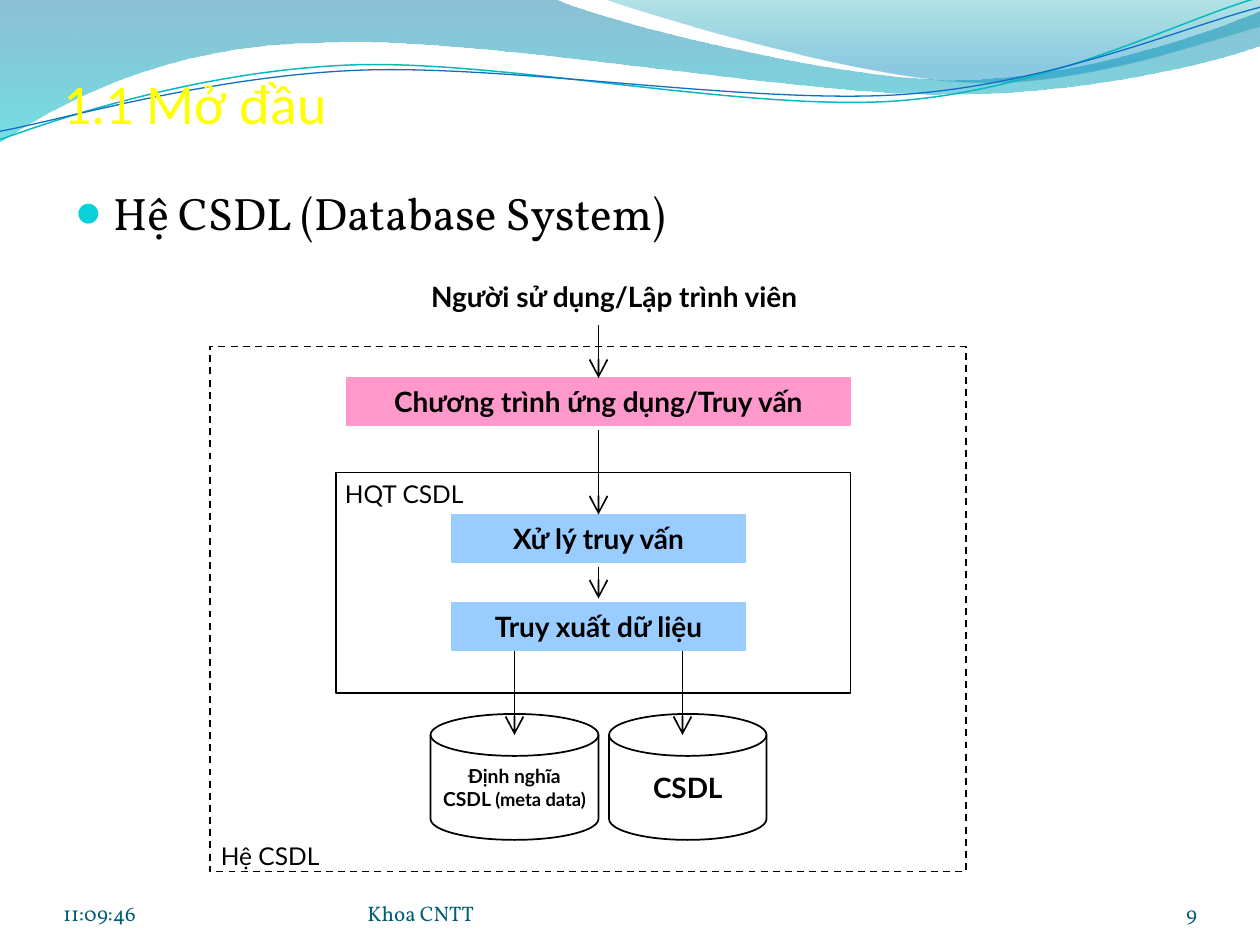
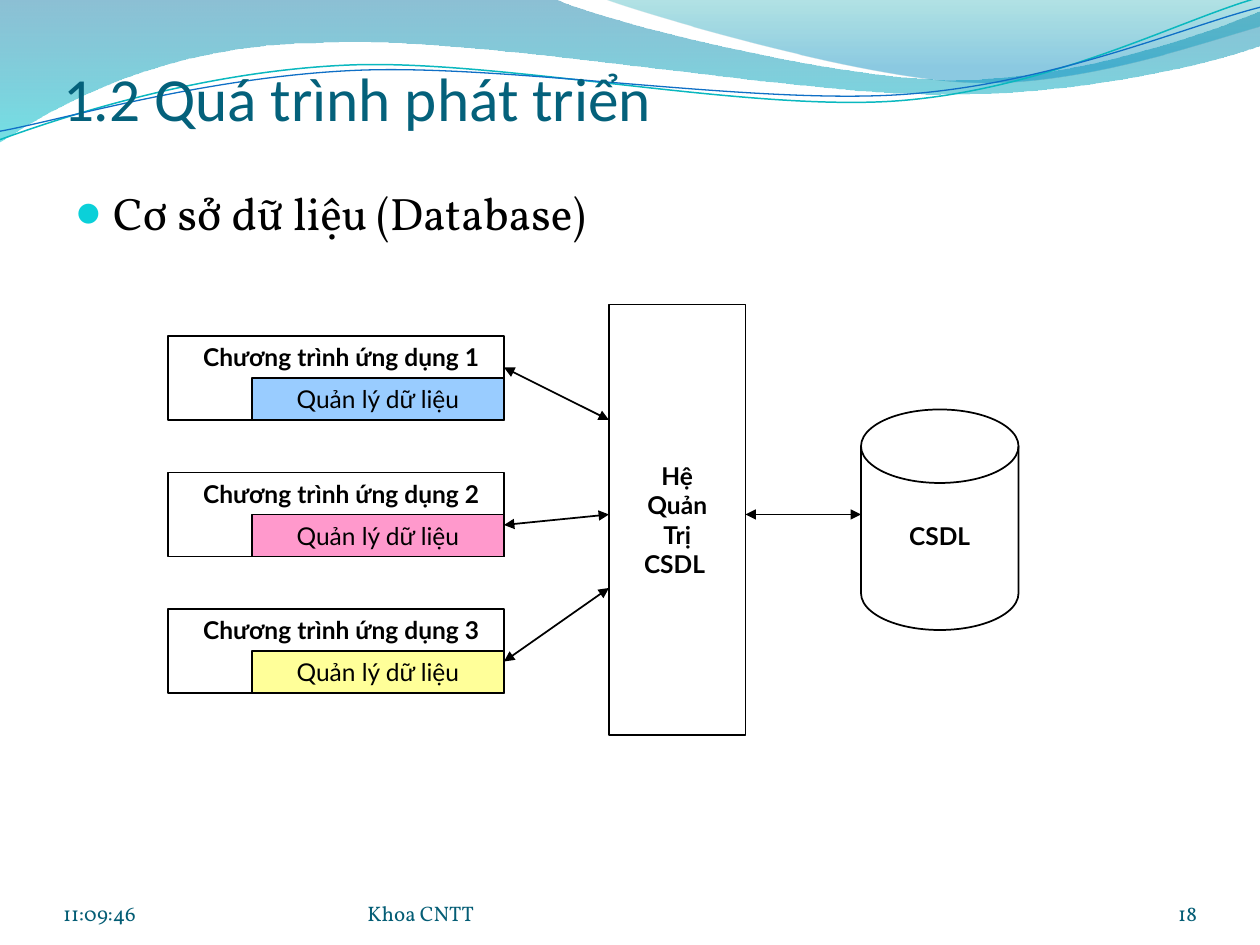
from dataclasses import dataclass
from typing import Optional

from lxml.etree import SubElement
from pptx import Presentation
from pptx.dml.color import RGBColor
from pptx.enum.dml import MSO_LINE_DASH_STYLE as Dash
from pptx.enum.shapes import MSO_CONNECTOR as Connector, MSO_SHAPE as Preset
from pptx.enum.text import MSO_ANCHOR as Anchor, MSO_AUTO_SIZE as AutoSize, PP_ALIGN as Align
from pptx.oxml.ns import qn
from pptx.util import Inches, Pt

PX = Inches(1) // 120
TITLE_ONLY = 5
TOP = 0

COLORS = {
    "black": "000000",
    "blue": "99CCFF",
    "pink": "FF99CC",
    "pale yellow": "FFFF99",
    "yellow": "FFFF00",
    "title": "04617B",
    "footer": "045D75",
    "bullet": "0BD0D9",
    "wave deep": "0074A1",
    "wave cyan": "00C6CF",
    "wave teal": "00A1A9",
    "wave sky": "008BBF",
    "strand teal": "0AB8BF",
    "strand blue": "0F6FC6",
}
FONTS = {"title": "Calibri", "body": "Vollkorn", "diagram": "Lato"}


@dataclass(frozen=True)
class Node:
    """A diagram element; without fill and line it is a plain label."""
    text: str
    left: int
    top: int
    width: int
    height: int
    size: int = 16
    bold: bool = True
    fill: Optional[str] = None
    line: Optional[str] = None
    preset: Preset = Preset.RECTANGLE
    dashed: bool = False


@dataclass(frozen=True)
class Arrow:
    start: tuple[int, int]
    end: tuple[int, int]


@dataclass(frozen=True)
class ArrowStyle:
    head: str
    size: str
    both_ends: bool


OPEN_ARROW = ArrowStyle("arrow", "lg", False)
DOUBLE_ARROW = ArrowStyle("triangle", "med", True)


@dataclass(frozen=True)
class Stop:
    position: float
    color: str
    opacity: int


@dataclass(frozen=True)
class Wave:
    """An outline whose steps are lines (2 numbers) or cubic curves (6 numbers)."""
    start: tuple[int, int]
    steps: tuple[tuple[int, ...], ...]
    stops: tuple[Stop, ...] = ()
    line: Optional[str] = None
    weight: float = 0


WAVES = (
    Wave((0, -1), ((528, -1), (571, 20, 797, 76, 910, 76), (1026, 76, 1150, 31, 1200, 11),
                   (1201, 43), (1180, 53, 1044, 91, 895, 90), (746, 90, 458, 34, 308, 41),
                   (155, 42, 55, 100, -1, 136)),
         stops=(Stop(0, "wave deep", 45), Stop(1, "wave cyan", 55))),
    Wave((575, -1), ((611, 13, 818, 74, 923, 78), (1027, 83, 1153, 38, 1200, 25), (1200, 0)),
         stops=(Stop(0, "wave teal", 30), Stop(0.8, "wave sky", 45))),
    Wave((0, 133), ((58, 112, 190, 68, 332, 62), (474, 56, 712, 107, 856, 96),
                    (1000, 85, 1126, 18, 1198, -2)), line="strand teal", weight=0.85),
    Wave((0, 125), ((56, 115, 197, 73, 340, 67), (484, 61, 716, 100, 860, 90),
                    (1003, 80, 1129, 25, 1200, 7)), line="strand blue", weight=0.75),
)


def rgb(name: str) -> RGBColor:
    return RGBColor.from_string(COLORS[name])


def scaled(*lengths: int) -> list[int]:
    return [length * PX for length in lengths]


def format_text(frame, font: str, size: float, color: str, bold: bool = False,
                align: Align = Align.LEFT) -> None:
    for para in frame.paragraphs:
        para.alignment = align
        for span in para.runs:
            span.font.name = FONTS[font]
            span.font.size = Pt(size)
            span.font.bold = bold
            span.font.color.rgb = rgb(color)


def clear_margins(frame) -> None:
    frame.margin_left = frame.margin_right = frame.margin_top = frame.margin_bottom = 0


def bend_steps(shape, steps: tuple[tuple[int, ...], ...]) -> None:
    """Turn the straight segments of curved steps into cubic curves."""
    segments = list(shape.element.spPr.iter(qn("a:lnTo")))
    for segment, step in zip(segments, steps):
        if len(step) == 2:
            continue
        segment.tag = qn("a:cubicBezTo")
        segment.remove(segment[0])
        for x, y in zip(step[::2], step[1::2]):
            SubElement(segment, qn("a:pt"), x=str(x * PX - shape.left), y=str(y * PX - shape.top))


def draw_wave(page, wave: Wave):
    builder = page.shapes.build_freeform(*wave.start, scale=PX)
    builder = page.shapes.build_freeform(*scaled(*wave.start))
    builder.add_line_segments([scaled(*step[-2:]) for step in wave.steps], close=bool(wave.stops))
    shape = builder.convert_to_shape()
    bend_steps(shape, wave.steps)
    shape.shadow.inherit = False
    if wave.line:
        shape.fill.background()
        shape.line.color.rgb = rgb(wave.line)
        shape.line.width = Pt(wave.weight)
        return shape
    shape.line.fill.background()
    shape.fill.gradient()
    shape.fill.gradient_angle = 270
    for target, stop in zip(shape.fill.gradient_stops, wave.stops):
        target.position = stop.position
        target.color.rgb = rgb(stop.color)
    for color, stop in zip(shape.element.spPr.iter(qn("a:srgbClr")), wave.stops):
        SubElement(color, qn("a:alpha"), val=str(stop.opacity * 1000))
    return shape


def put_waves_on_layout(page) -> None:
    """Draw the waves on a page and move them behind everything, into its layout."""
    tree = page.slide_layout.shapes.element
    for offset, wave in enumerate(WAVES):
        tree.insert(2 + offset, draw_wave(page, wave).element)


def add_title(page, text: str, size: int, color: str, lift: int) -> None:
    title = page.shapes.title
    title.left, title.top, title.width, title.height = scaled(60, 47, 1080, 82)
    frame = title.text_frame
    frame.text = text
    clear_margins(frame)
    frame.margin_top = 6 * PX
    frame.margin_bottom = lift * PX
    frame.vertical_anchor = Anchor.BOTTOM
    frame.auto_size = AutoSize.NONE
    format_text(frame, "title", size, color)


def add_bullet(page, text: str, height: int) -> None:
    frame = page.shapes.add_textbox(*scaled(60, 170, 1080, height)).text_frame
    frame.word_wrap = True
    frame.text = text
    properties = frame.paragraphs[0]._p.get_or_add_pPr()
    properties.set("marL", str(36 * PX))
    properties.set("indent", str(-36 * PX))
    color = SubElement(properties, qn("a:buClr"))
    SubElement(color, qn("a:srgbClr"), val=COLORS["bullet"])
    SubElement(properties, qn("a:buSzPct"), val="95000")
    SubElement(properties, qn("a:buFont"), typeface=FONTS["title"])
    SubElement(properties, qn("a:buChar"), char="●")
    format_text(frame, "body", 26, "black")


def add_footers(page, number: int) -> None:
    for text, left, width, align in (("11:09:46", 60, 280, Align.LEFT),
                                     ("Khoa CNTT", 350, 440, Align.LEFT),
                                     (str(number), 1040, 100, Align.RIGHT)):
        frame = page.shapes.add_textbox(*scaled(left, 834, width, 48)).text_frame
        frame.word_wrap = True
        frame.text = text
        clear_margins(frame)
        frame.vertical_anchor = Anchor.BOTTOM
        format_text(frame, "body", 12, "footer", align=align)


def draw_node(page, node: Node):
    bounds = scaled(node.left, node.top, node.width, node.height)
    if node.line:
        shape = page.shapes.add_shape(node.preset, *bounds)
        shape.shadow.inherit = False
        shape.line.color.rgb = rgb(node.line)
        shape.line.width = Pt(1)
        if node.dashed:
            shape.line.dash_style = Dash.DASH
        if node.fill:
            shape.fill.solid()
            shape.fill.fore_color.rgb = rgb(node.fill)
        else:
            shape.fill.background()
    else:
        shape = page.shapes.add_textbox(*bounds)
    if node.text:
        frame = shape.text_frame
        frame.word_wrap = True
        frame.text = node.text
        clear_margins(frame)
        frame.vertical_anchor = Anchor.MIDDLE
        format_text(frame, "diagram", node.size, "black", node.bold, Align.CENTER)
    return shape


def draw_arrow(page, arrow: Arrow, style: ArrowStyle):
    link = page.shapes.add_connector(Connector.STRAIGHT, *scaled(*arrow.start, *arrow.end))
    link.line.color.rgb = rgb("black")
    link.line.width = Pt(1)
    outline = link.line._get_or_add_ln()
    for tag in ("a:headEnd", "a:tailEnd") if style.both_ends else ("a:tailEnd",):
        SubElement(outline, qn(tag), type=style.head, w=style.size, len=style.size)
    SubElement(link.element.spPr, qn("a:effectLst"))
    return link


def draw_database_system(page) -> None:
    disk = Preset.FLOWCHART_MAGNETIC_DISK
    axis = 570
    for node in (
        Node("", 200, 330, 720, 500, line="black", dashed=True),
        Node("Hệ CSDL ", 200, 795, 120, 40, size=14, bold=False),
        Node("Người sử dụng/Lập trình viên", 340, 260, 490, 45),
        Node("", 320, 450, 490, 210, line="black"),
        Node("HQT CSDL", 310, 450, 150, 40, size=14, bold=False),
        Node("Truy xuất dữ liệu", 430, 574, 280, 45, fill="blue", line="blue"),
        Node("CSDL", 580, 680, 150, 120, line="black", preset=disk),
    ):
        draw_node(page, node)
    program = draw_node(page, Node("Chương trình ứng dụng/Truy vấn", 330, 360, 480, 45,
                                   fill="pink", line="pink"))
    query = draw_node(page, Node("Xử lý truy vấn", 430, 490, 280, 45, fill="blue", line="blue"))

    meta = draw_node(page, Node("Định nghĩa\nCSDL ", 410, 680, 160, 120, size=11,
                                line="black", preset=disk))
    meta.text_frame.paragraphs[1].add_run().text = "(meta data)"
    format_text(meta.text_frame, "diagram", 11, "black", True, Align.CENTER)
    meta.text_frame.paragraphs[1].runs[1].font.size = Pt(10.5)

    for top, target in ((310, program), (410, query)):
        link = draw_arrow(page, Arrow((axis, top), (axis, target.top // PX)), OPEN_ARROW)
        link.end_connect(target, TOP)
    draw_arrow(page, Arrow((axis, 540), (axis, 570)), OPEN_ARROW)
    for x in (490, 650):
        draw_arrow(page, Arrow((x, 620), (x, 700)), OPEN_ARROW)


def draw_shared_database(page) -> None:
    for index, color in enumerate(("blue", "pink", "pale yellow")):
        top = 320 + 130 * index
        for node in (
            Node("", 160, top, 320, 80, line="black"),
            Node(f"Chương trình ứng dụng {index + 1}", 160, top, 330, 40, size=14),
            Node("Quản lý dữ liệu", 240, top + 40, 240, 40, size=14, bold=False,
                 fill=color, line="black"),
        ):
            draw_node(page, node)
    for node in (
        Node("Hệ\nQuản\nTrị\nCSDL ", 580, 290, 130, 410, size=14, line="black"),
        Node("", 820, 390, 150, 210, line="black", preset=Preset.FLOWCHART_MAGNETIC_DISK),
        Node("CSDL", 820, 490, 150, 40, size=14),
    ):
        draw_node(page, node)
    for arrow in (Arrow((480, 350), (580, 400)), Arrow((480, 500), (580, 490)),
                  Arrow((480, 630), (580, 560)), Arrow((710, 490), (820, 490))):
        draw_arrow(page, arrow, DOUBLE_ARROW)


def main() -> None:
    deck = Presentation()
    deck.slide_width, deck.slide_height = scaled(1200, 900)
    layout = deck.slide_layouts[TITLE_ONLY]

    system = deck.slides.add_slide(layout)
    put_waves_on_layout(system)
    add_title(system, "1.1 Mở đầu", 32, "yellow", lift=0)
    add_bullet(system, "Hệ CSDL (Database System)", 670)
    draw_database_system(system)
    add_footers(system, 9)

    history = deck.slides.add_slide(layout)
    add_title(history, "1.2 Quá trình phát triển", 35, "title", lift=2)
    add_bullet(history, "Cơ sở dữ liệu (Database)", 635)
    draw_shared_database(history)
    add_footers(history, 18)
    deck.save("out.pptx")


if __name__ == "__main__":
    main()
